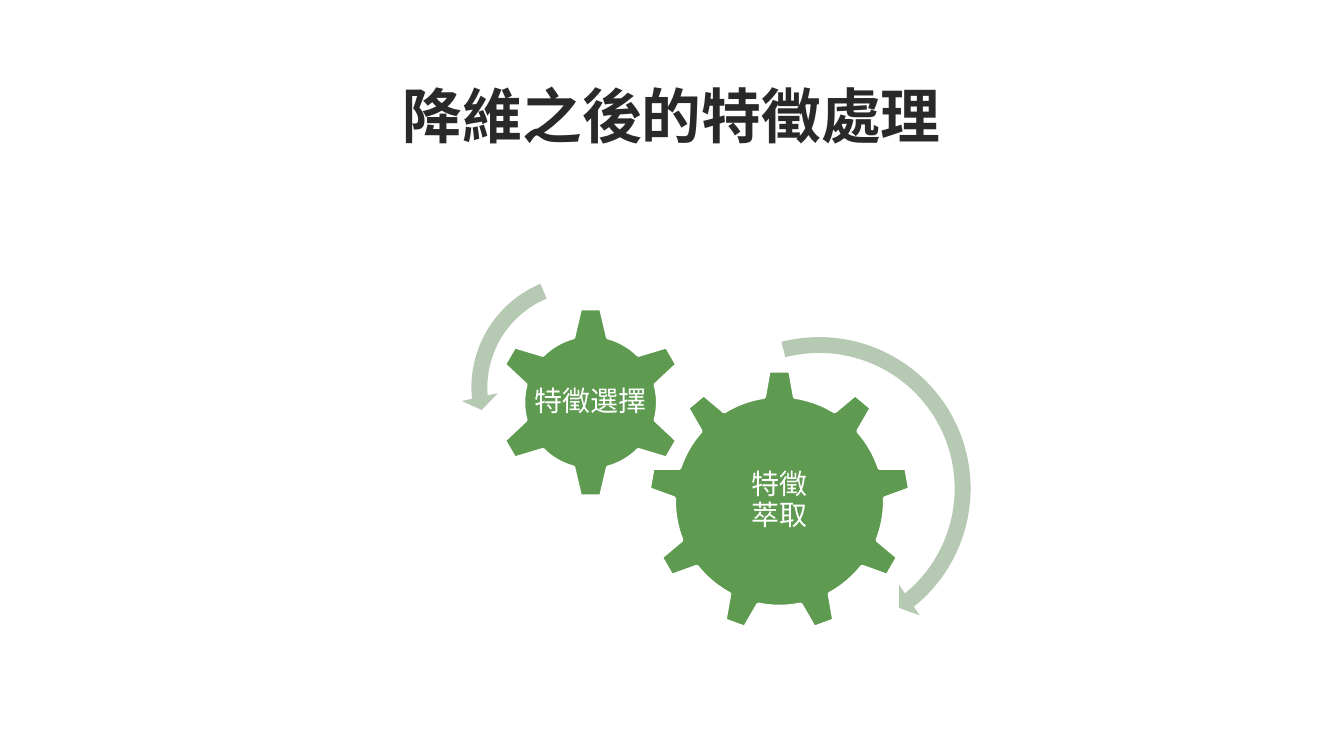
from pptx import Presentation
from pptx.dml.color import RGBColor
from pptx.enum.shapes import MSO_SHAPE as Kind
from pptx.enum.text import MSO_ANCHOR as Anchor, PP_ALIGN as Align
from pptx.util import Inches, Pt

deck = Presentation()
WIDE = Inches(10)
HIGH = WIDE * 9 // 16
deck.slide_width, deck.slide_height = WIDE, HIGH
slide = deck.slides.add_slide(deck.slide_layouts[6])
shapes = slide.shapes


def paint(target, color):
    """Give a fill or a line one solid colour."""
    target.fill.solid()
    target.fill.fore_color.rgb = RGBColor.from_string(color)


def write(shape, text, size, color, bold=False):
    """Centre the text in the shape and format its runs."""
    frame = shape.text_frame
    frame.text = text
    frame.vertical_anchor = Anchor.MIDDLE
    para = frame.paragraphs[0]
    para.alignment = Align.CENTER
    for run in para.runs:
        font = run.font
        font.name, font.size, font.bold = "Arial", Pt(size), bold
        font.color.rgb = RGBColor.from_string(color)
    return frame


title = shapes.add_textbox(int(WIDE * 0.05), Inches(0.46), int(WIDE * 0.9), Inches(0.78))
frame = write(title, "降維之後的特徵處理", 32, "292929", True)
frame.word_wrap = True
frame.margin_top = frame.margin_bottom = Inches(0.04)

# kind, left, top, side, text, top margin
gears = [
    (Kind.GEAR_9, 4.82, 2.75, 1.96, "特徵\v萃取", 0.05),
    (Kind.GEAR_6, 3.68, 2.28, 1.43, "特徵選擇", 0.02),
]
for kind, left, top, side, text, inset in gears:
    gear = shapes.add_shape(kind, Inches(left), Inches(top), Inches(side), Inches(side))
    gear.shadow.inherit = False
    paint(gear, "5E9A50")
    paint(gear.line, "FFFFFF")
    gear.line.width = Pt(2)
    frame = write(gear, text, 15, "FFFFFF")
    frame.word_wrap = False
    frame.margin_left = frame.margin_right = frame.margin_bottom = Inches(0.02)
    frame.margin_top = Inches(inset)
    para = frame.paragraphs[0]
    para.line_spacing, para.space_after = 0.9, Pt(5)

# kind, left, top, side, adjustments in percent
turns = [
    (Kind.CIRCULAR_ARROW, 4.89, 2.43, 2.41, (4.9, 312.6, 3062.7, 15333.8, 5.7)),
    (Kind.LEFT_CIRCULAR_ARROW, 3.43, 1.97, 1.83, (6.5, 430, 10489.1, 14837.8, 7.5)),
]
for kind, left, top, side, values in turns:
    turn = shapes.add_shape(kind, Inches(left), Inches(top), Inches(side), Inches(side))
    turn.shadow.inherit = False
    paint(turn, "B6CAB3")
    turn.line.fill.background()
    for i, value in enumerate(values):
        turn.adjustments[i] = value / 100

deck.save("out.pptx")
